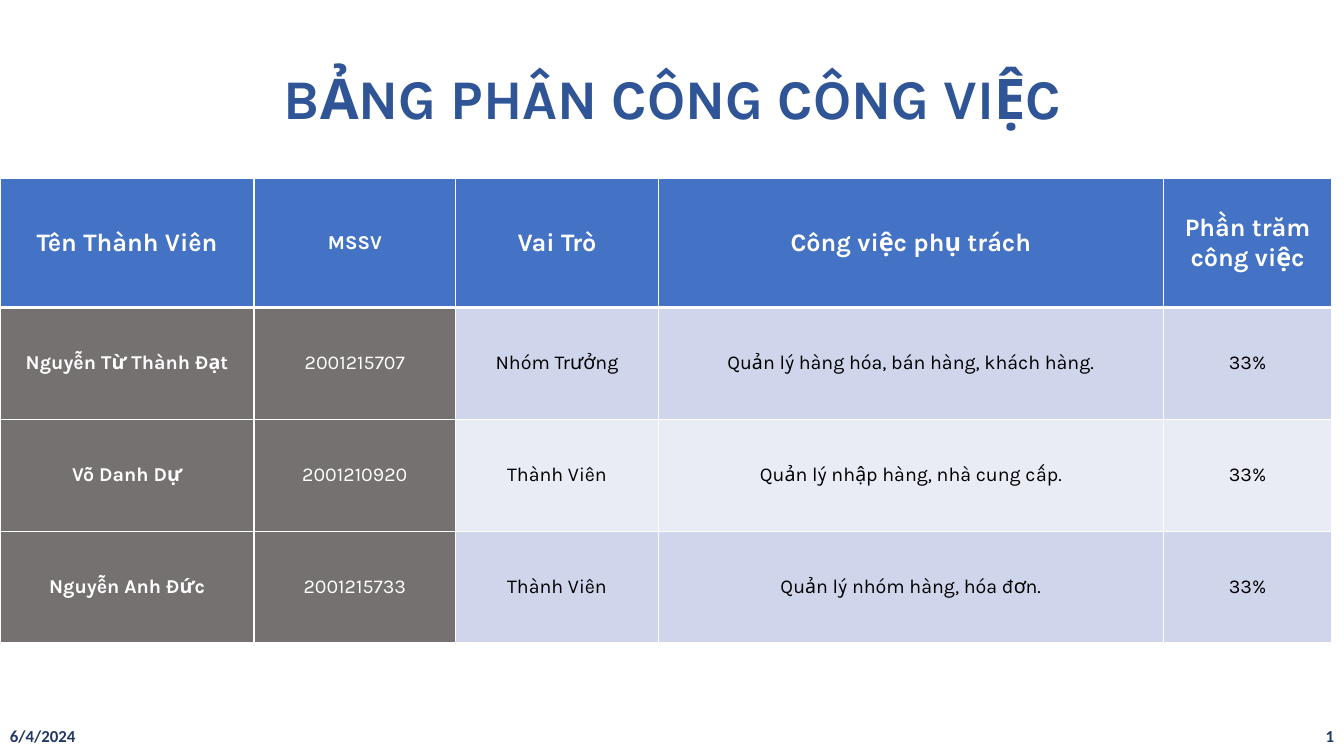
from dataclasses import dataclass

from lxml.etree import SubElement
from pptx import Presentation
from pptx.dml.color import RGBColor
from pptx.enum.text import MSO_ANCHOR, PP_ALIGN
from pptx.oxml.ns import qn
from pptx.util import Emu, Pt


@dataclass(frozen=True)
class Theme:
    title_color: str = "2F5597"
    footer_color: str = "203864"
    header_fill: str = "4472C4"
    member_fill: str = "767171"
    band_fills: tuple = ("CFD5EA", "E9EBF5")
    white: str = "FFFFFF"
    black: str = "000000"
    body_font: str = "Karla"
    footer_font: str = "Calibri"
    title_size: int = 40
    header_size: int = 18
    body_size: int = 14
    footer_size: int = 12
    cell_spacing: int = 6
    thin_line: int = 1
    thick_line: int = 3


THEME = Theme()
EMU_PER_PX = 9144  # 100 px to the inch

SLIDE_SIZE = (1333, 750)
TABLE_ORIGIN = (0, 177)
COLUMN_WIDTHS = (252, 200, 201, 501, 167)
ROW_HEIGHTS = (128, 111, 111, 111)
MEMBER_COLUMNS = 2  # the dark columns: name and student number

ASSIGNMENTS = (
    ("Tên Thành Viên", "MSSV", "Vai Trò", "Công việc phụ trách", "Phần trăm công việc"),
    ("Nguyễn Từ Thành Đạt", "2001215707", "Nhóm Trưởng",
     "Quản lý hàng hóa, bán hàng, khách hàng.", "33%"),
    ("Võ Danh Dự", "2001210920", "Thành Viên", "Quản lý nhập hàng, nhà cung cấp.", "33%"),
    ("Nguyễn Anh Đức", "2001215733", "Thành Viên", "Quản lý nhóm hàng, hóa đơn.", "33%"),
)


def px(length):
    return Emu(length * EMU_PER_PX)


def set_attributes(target, values):
    for name, value in values.items():
        setattr(target, name, value)


def write_text(text_frame, text, font, size, color, bold=True, align=PP_ALIGN.CENTER):
    paragraph = text_frame.paragraphs[0]
    paragraph.alignment = align
    run = paragraph.add_run()
    run.text = text
    set_attributes(run.font, {"name": font, "size": Pt(size), "bold": bold})
    run.font.color.rgb = RGBColor.from_string(color)
    return paragraph


def add_text(slide, box, text, anchor, **text_format):
    shape = slide.shapes.add_textbox(*map(px, box))
    set_attributes(shape.text_frame, {"word_wrap": True, "vertical_anchor": anchor})
    write_text(shape.text_frame, text, **text_format)


def add_border(cell, side, width):
    line = SubElement(cell._tc.get_or_add_tcPr(), qn(f"a:ln{side}"), w=str(Pt(width)))
    fill = SubElement(line, qn("a:solidFill"))
    SubElement(fill, qn("a:srgbClr"), val=THEME.white)


def cell_look(row, column):
    """Return the fill and the text format for a place in the table."""
    is_header = row == 0
    is_member = column < MEMBER_COLUMNS
    if is_header:
        fill = THEME.header_fill
    elif is_member:
        fill = THEME.member_fill
    else:
        fill = THEME.band_fills[(row - 1) % 2]
    # The student number heading keeps the body size
    large = is_header and column != 1
    return fill, {
        "font": THEME.body_font,
        "size": THEME.header_size if large else THEME.body_size,
        "color": THEME.white if is_header or is_member else THEME.black,
        "bold": is_header or column == 0,
    }


def fill_cell(cell, text, row, column):
    fill, text_format = cell_look(row, column)
    set_attributes(cell, {
        "vertical_anchor": MSO_ANCHOR.MIDDLE,
        "margin_left": px(7), "margin_right": px(7),
        "margin_top": 0, "margin_bottom": 0,
    })
    # Borders come before the fill in the cell properties
    thick_side = {0: "B", 1: "T"}.get(row)
    for side in "LRTB":
        add_border(cell, side, THEME.thick_line if side == thick_side else THEME.thin_line)
    cell.fill.solid()
    cell.fill.fore_color.rgb = RGBColor.from_string(fill)
    paragraph = write_text(cell.text_frame, text, **text_format)
    set_attributes(paragraph, {
        "space_before": Pt(THEME.cell_spacing), "space_after": Pt(THEME.cell_spacing),
    })


def add_assignment_table(slide):
    size = (sum(COLUMN_WIDTHS), sum(ROW_HEIGHTS))
    table = slide.shapes.add_table(
        len(ROW_HEIGHTS), len(COLUMN_WIDTHS), *map(px, TABLE_ORIGIN + size)).table
    for column, width in zip(table.columns, COLUMN_WIDTHS):
        column.width = px(width)
    for row, height in zip(table.rows, ROW_HEIGHTS):
        row.height = px(height)
    for row, texts in enumerate(ASSIGNMENTS):
        for column, text in enumerate(texts):
            fill_cell(table.cell(row, column), text, row, column)


def add_footer(slide, left, text, align):
    add_text(slide, (left, 710, 300, 40), text, MSO_ANCHOR.MIDDLE, font=THEME.footer_font,
             size=THEME.footer_size, color=THEME.footer_color, align=align)


def main():
    presentation = Presentation()
    width, height = SLIDE_SIZE
    set_attributes(presentation, {"slide_width": px(width), "slide_height": px(height)})
    slide = presentation.slides.add_slide(presentation.slide_layouts[6])

    # Title
    add_text(slide, (214, 58, 906, 145), "BẢNG PHÂN CÔNG CÔNG VIỆC", MSO_ANCHOR.TOP,
             font=THEME.body_font, size=THEME.title_size, color=THEME.title_color)

    # Work assignments
    add_assignment_table(slide)

    # Date and slide number
    add_footer(slide, 0, "6/4/2024", PP_ALIGN.LEFT)
    add_footer(slide, width - 300, "1", PP_ALIGN.RIGHT)

    presentation.save("out.pptx")


if __name__ == "__main__":
    main()
